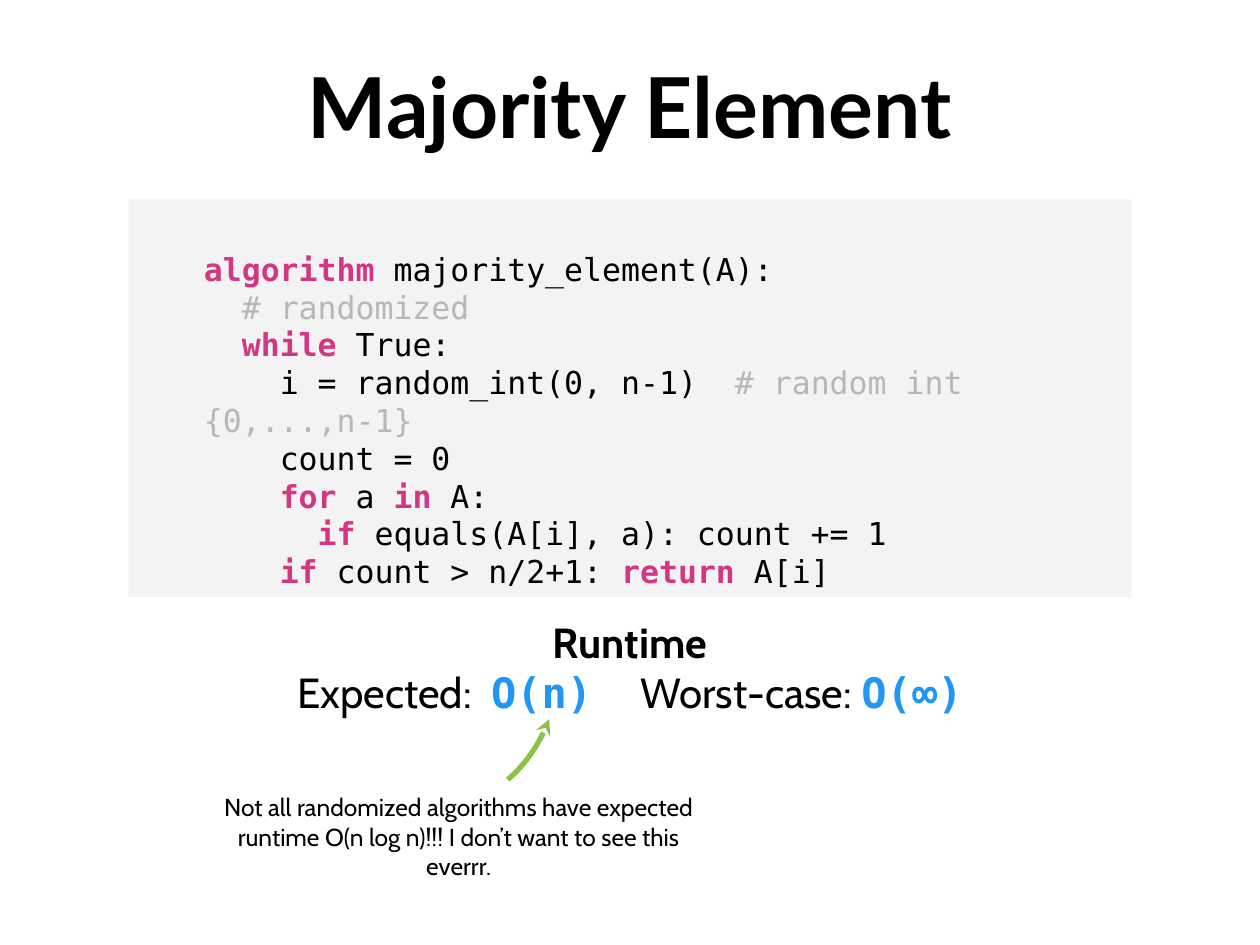
from pptx import Presentation
from pptx import util as u
from pptx.dml.color import RGBColor
from pptx.enum import shapes, text
from pptx.oxml import parse_xml
from pptx.oxml.ns import nsdecls

WIDTH, HEIGHT = u.Inches(10), u.Inches(7.5)
COLORS = {"ink": "000000", "panel": "F3F3F3", "keyword": "D33682",
          "comment": "B7B7B7", "bound": "2196F3", "arrow": "8BC34A"}
MONO, SANS, HEADING = "DejaVu Sans Mono", "Cabin", "Lato"
CHAR = 10.84  # advance of one monospaced 18 pt character, in points

STYLES = {
    "title": dict(name=HEADING, size=u.Pt(48), bold=True, color="ink"),
    "code": dict(name=MONO, size=u.Pt(18), bold=False, color="ink"),
    "key": dict(name=MONO, size=u.Pt(18), bold=True, color="keyword"),
    "comment": dict(name=MONO, size=u.Pt(18), bold=False, color="comment"),
    "label": dict(name=SANS, size=u.Pt(24), bold=False, color="ink"),
    "heading": dict(name=SANS, size=u.Pt(24), bold=True, color="ink"),
    "bound": dict(name=MONO, size=u.Pt(24), bold=True, color="bound"),
    "note": dict(name=SANS, size=u.Pt(14), bold=False, color="ink"),
}

# Each code line: nesting depth, then (style, words[, extra spacing in points])
CODE = [
    (0, [("key", "algorithm"), ("code", " majority_element(A):")]),
    (1, [("comment", "# randomized")]),
    (1, [("key", "while"), ("code", " True:")]),
    (2, [("code", "i = random_int(0, n-1)"), ("code", " ", CHAR),
         ("comment", "# random int {0,...,n-1}")]),
    (2, [("code", "count = 0")]),
    (2, [("key", "for"), ("code", " a "), ("key", "in"), ("code", " A:")]),
    (3, [("key", "if"), ("code", " equals(A[i], a): count += 1")]),
    (2, [("key", "if"), ("code", " count > n/2+1: "), ("key", "return"),
         ("code", " A[i]")]),
]
RUNTIME = [
    [("heading", "Runtime")],
    [("label", "Expected:"), ("label", " ", 5.6), ("bound", "O(n)"),
     ("label", " ", 22), ("label", "Worst-case: "), ("bound", "O(∞)")],
]
NOTE = ("Not all randomized algorithms have expected runtime O(n log n)!!! "
        "I don’t want to see this everrr.")


def share(left, top, width, height):
    """Turn shares of the slide's size into a box."""
    return (int(left * WIDTH), int(top * HEIGHT),
            int(width * WIDTH), int(height * HEIGHT))


def color(name):
    return RGBColor.from_string(COLORS[name])


def add_runs(paragraph, pieces):
    for style, words, *spacing in pieces:
        run = paragraph.add_run()
        run.text = words
        for key, value in STYLES[style].items():
            if key == "color":
                run.font.color.rgb = color(value)
            else:
                setattr(run.font, key, value)
        if spacing:
            run.font._element.set("spc", str(round(spacing[0] * 100)))


def fill_frame(frame, lines, align, top=0.1):
    settings = dict(word_wrap=True, vertical_anchor=text.MSO_ANCHOR.TOP,
                    margin_left=u.Inches(0.1), margin_right=u.Inches(0.1),
                    margin_top=u.Inches(top), margin_bottom=u.Inches(0.1))
    for key, value in settings.items():
        setattr(frame, key, value)
    for index, pieces in enumerate(lines):
        paragraph = frame.add_paragraph() if index else frame.paragraphs[0]
        paragraph.alignment = align
        add_runs(paragraph, pieces)


def centred_text(slide, box, lines):
    frame = slide.shapes.add_textbox(*box).text_frame
    fill_frame(frame, lines, text.PP_ALIGN.CENTER)


def code_panel(slide, box):
    panel = slide.shapes.add_shape(shapes.MSO_SHAPE.RECTANGLE, *box)
    panel.shadow.inherit = False
    panel.fill.solid()
    panel.fill.fore_color.rgb = color("panel")
    panel.line.fill.background()
    fill_frame(panel.text_frame, [pieces for _, pieces in CODE],
               text.PP_ALIGN.LEFT, top=0.4)
    # Nested lines start further in; wrapped lines return to the margin
    for paragraph, (depth, _) in zip(panel.text_frame.paragraphs, CODE):
        properties = paragraph._p.get_or_add_pPr()
        properties.set("marL", str(u.Inches(0.5)))
        properties.set("indent", str(u.Pt(2 * CHAR * depth)))


def curved_arrow(slide, box, steps=12):
    """Arc from the box's lower left to its upper right corner."""
    left, top, width, height = box
    bend = (0.65, 0.62)  # control point as shares of the box

    def point(t):
        across = 2 * t * (1 - t) * bend[0] + t * t
        down = (1 - t) ** 2 + 2 * t * (1 - t) * bend[1]
        return int(left + across * width), int(top + down * height)

    arc = [point(step / steps) for step in range(steps + 1)]
    builder = slide.shapes.build_freeform(*arc[0])
    builder.add_line_segments(arc[1:], close=False)
    arrow = builder.convert_to_shape()
    arrow.shadow.inherit = False
    arrow.fill.background()
    arrow.line.color.rgb = color("arrow")
    arrow.line.width = u.Pt(3)
    arrow.line._get_or_add_ln().append(
        parse_xml(f'<a:tailEnd {nsdecls("a")} type="stealth"/>'))


def main():
    deck = Presentation()
    deck.slide_width, deck.slide_height = WIDTH, HEIGHT
    slide = deck.slides.add_slide(deck.slide_layouts[6])

    # Title and algorithm
    centred_text(slide, share(0, 0.044, 1, 0.167),
                 [[("title", "Majority Element")]])
    code_panel(slide, share(0.102, 0.211, 0.796, 0.421))
    # Runtime with its remark
    centred_text(slide, share(0.102, 0.639, 0.796, 0.152), RUNTIME)
    curved_arrow(slide, share(0.403, 0.761, 0.033, 0.064))
    centred_text(slide, share(0.168, 0.825, 0.392, 0.152), [[("note", NOTE)]])

    deck.save("out.pptx")


if __name__ == "__main__":
    main()
